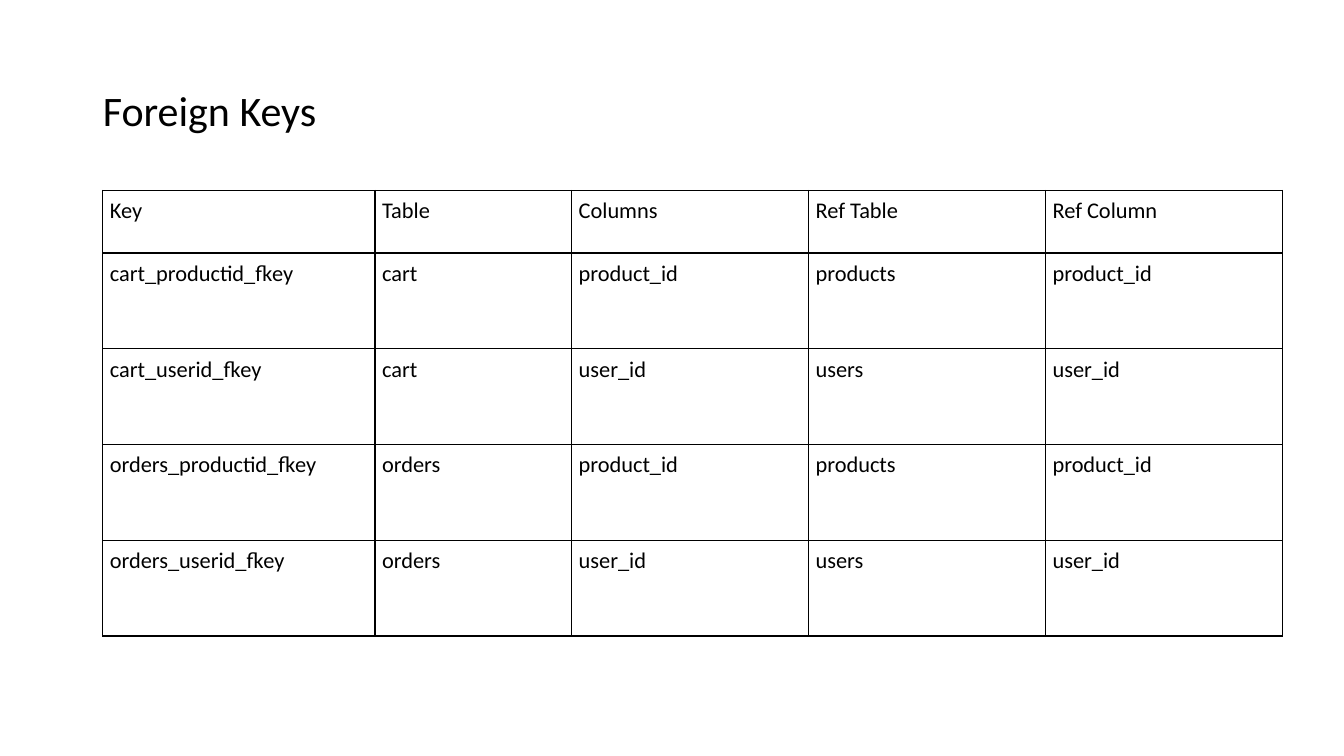
from lxml.etree import SubElement
from pptx import Presentation
from pptx.dml.color import RGBColor
from pptx.enum.text import MSO_ANCHOR, PP_ALIGN
from pptx.oxml.ns import qn
from pptx.util import Inches, Pt

BLACK = RGBColor(0x00, 0x00, 0x00)
FONT = "Calibri"

COLUMN_WIDTHS = [2.7, 1.95, 2.35, 2.35, 2.35]
ROW_HEIGHTS = [0.62] + [0.95] * 4
CELL_MARGIN = Inches(0.07)
FOREIGN_KEYS = [
    ("Key", "Table", "Columns", "Ref Table", "Ref Column"),
    ("cart_productid_fkey", "cart", "product_id", "products", "product_id"),
    ("cart_userid_fkey", "cart", "user_id", "users", "user_id"),
    ("orders_productid_fkey", "orders", "product_id", "products", "product_id"),
    ("orders_userid_fkey", "orders", "user_id", "users", "user_id"),
]


def style_paragraph(paragraph, size):
    paragraph.alignment = PP_ALIGN.LEFT
    font = paragraph.font
    font.name, font.size, font.bold = FONT, Pt(size), False
    font.color.rgb = BLACK


def set_title(slide, text):
    title = slide.shapes.title
    title.left, title.top = Inches(0.92), Inches(0.4)
    title.width, title.height = Inches(11.5), Inches(1.45)
    frame = title.text_frame
    frame.text = text
    frame.word_wrap = True
    frame.vertical_anchor = MSO_ANCHOR.MIDDLE
    heading = frame.paragraphs[0]
    heading.line_spacing = 0.9
    style_paragraph(heading, 30)


def add_borders(cell):
    properties = cell._tc.get_or_add_tcPr()
    for side in ("lnL", "lnR", "lnT", "lnB"):
        line = SubElement(properties, qn(f"a:{side}"), w=str(Pt(1)))
        fill = SubElement(line, qn("a:solidFill"))
        SubElement(fill, qn("a:srgbClr"), val=str(BLACK))


def fill_cell(cell, text):
    cell.text = text
    cell.margin_left = cell.margin_right = CELL_MARGIN
    cell.margin_top = cell.margin_bottom = CELL_MARGIN
    cell.vertical_anchor = MSO_ANCHOR.TOP
    style_paragraph(cell.text_frame.paragraphs[0], 16)
    add_borders(cell)
    cell.fill.background()


def add_key_table(slide):
    table = slide.shapes.add_table(
        len(ROW_HEIGHTS), len(COLUMN_WIDTHS), Inches(1.02), Inches(1.89),
        Inches(sum(COLUMN_WIDTHS)), Inches(sum(ROW_HEIGHTS)),
    ).table
    table.first_row = table.horz_banding = False
    for column, width in zip(table.columns, COLUMN_WIDTHS):
        column.width = Inches(width)
    for row, height, texts in zip(table.rows, ROW_HEIGHTS, FOREIGN_KEYS):
        row.height = Inches(height)
        for cell, text in zip(row.cells, texts):
            fill_cell(cell, text)


def main():
    presentation = Presentation()
    presentation.slide_width = Inches(13.33)
    presentation.slide_height = Inches(7.5)
    slide = presentation.slides.add_slide(presentation.slide_layouts[5])
    set_title(slide, "Foreign Keys")
    add_key_table(slide)
    presentation.save("out.pptx")


if __name__ == "__main__":
    main()
